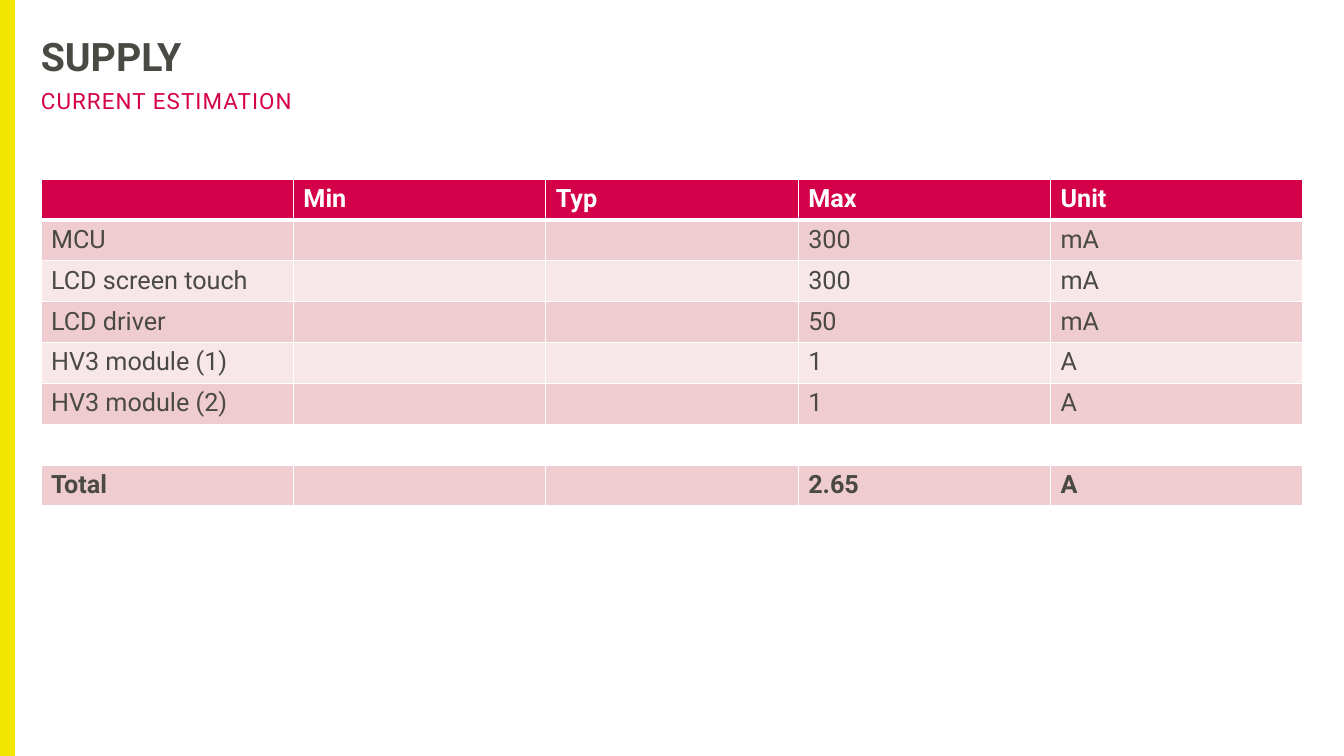
"""Build the supply slide with its current estimation table."""
from lxml import etree
from pptx import Presentation, util as u
from pptx.dml import color
from pptx.enum import shapes, text
from pptx.oxml import ns

PX = u.Inches(1) / 100.8
COLORS = {"accent": "D4004A", "bar": "F2E500", "ink": "4A4944",
          "dark_band": "EFCCD0", "light_band": "F7E7E9", "white": "FFFFFF"}


def px(*lengths):
    return [round(length * PX) for length in lengths]


def write(paragraph, wording, ink, size, bold=False):
    run = paragraph.add_run()
    run.text = wording
    for name, value in {"name": "Roboto", "size": u.Pt(size), "bold": bold}.items():
        setattr(run.font, name, value)
    run.font.color.rgb = color.RGBColor.from_string(COLORS[ink])
    return run


deck = Presentation()
deck.slide_width, deck.slide_height = px(1344, 756)
slide = deck.slides.add_slide(deck.slide_layouts[6])

side_bar = slide.shapes.add_shape(shapes.MSO_SHAPE.RECTANGLE, *px(0, 0, 15, 756))
side_bar.shadow.inherit = False
side_bar.fill.solid()
side_bar.fill.fore_color.rgb = color.RGBColor.from_string(COLORS["bar"])
side_bar.line.fill.background()

ROWS = [
    ["", "Min", "Typ", "Max", "Unit"],
    ["MCU", "", "", "300", "mA"],
    ["LCD screen touch", "", "", "300", "mA"],
    ["LCD driver", "", "", "50", "mA"],
    ["HV3 module (1)", "", "", "1", "A"],
    ["HV3 module (2)", "", "", "1", "A"],
    ["", "", "", "", ""],
    ["Total", "", "", "2.65", "A"],
]
HEADER, GAP, TOTAL = 0, 6, 7
estimation = slide.shapes.add_table(len(ROWS), len(ROWS[0]), *px(41, 179, 1262, 327)).table
for r, row in enumerate(ROWS):
    band = "accent" if r == HEADER else "dark_band" if r % 2 else "light_band"
    for c, wording in enumerate(row):
        cell = estimation.cell(r, c)
        properties = cell._tc.get_or_add_tcPr()
        for side in "LRTB":
            heavy = (r == HEADER and side == "B") or (r == HEADER + 1 and side == "T")
            border = etree.SubElement(properties, ns.qn(f"a:ln{side}"), w=str(u.Pt(3 if heavy else 1)))
            paint = etree.SubElement(border, ns.qn("a:solidFill"))
            etree.SubElement(paint, ns.qn("a:srgbClr"), val=COLORS["white"])
        if r == GAP:
            cell.fill.background()
        else:
            cell.fill.solid()
            cell.fill.fore_color.rgb = color.RGBColor.from_string(COLORS[band])
        if wording:
            write(cell.text_frame.paragraphs[0], wording,
                  "white" if r == HEADER else "ink", 18, r in (HEADER, TOTAL))

HEADINGS = [
    ("CURRENT ESTIMATION", (41, 85, 1262, 31), "accent", 16, False, {"space_after": u.Pt(2)}, 80),
    ("SUPPLY", (41, 39, 1262, 40), "ink", 28, True, {"line_spacing": 0.9}, 0),
]
FRAME = {"margin_left": 0, "margin_right": 0, "margin_top": 0, "margin_bottom": 0,
         "word_wrap": True, "vertical_anchor": text.MSO_ANCHOR.MIDDLE}
for wording, place, ink, size, bold, spacing, tracking in HEADINGS:
    frame = slide.shapes.add_textbox(*px(*place)).text_frame
    for name, value in FRAME.items():
        setattr(frame, name, value)
    paragraph = frame.paragraphs[0]
    for name, value in spacing.items():
        setattr(paragraph, name, value)
    run = write(paragraph, wording, ink, size, bold)
    if tracking:
        run.font._element.set("spc", str(tracking))

deck.save("out.pptx")
